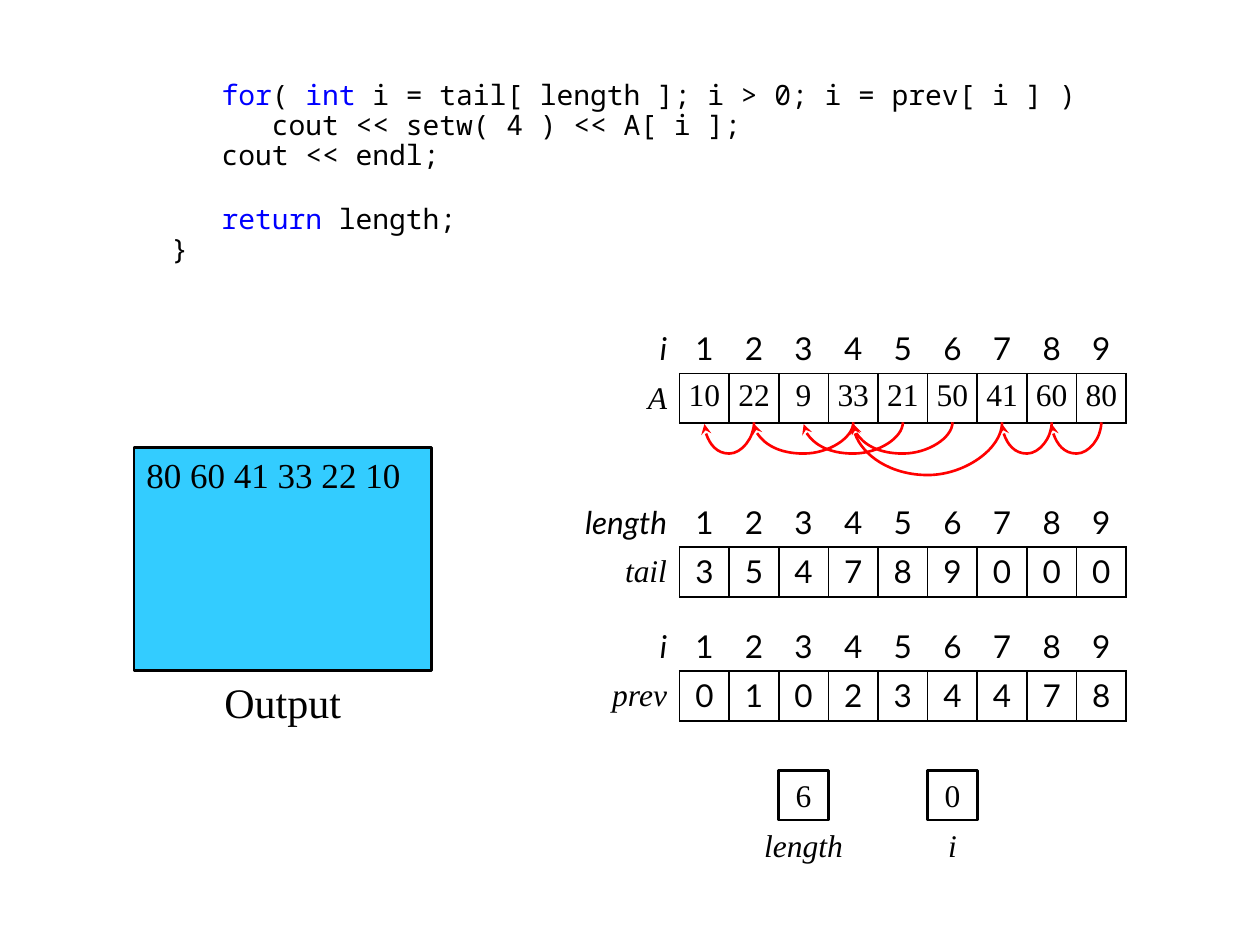
import pptx
import pptx.dml.color
import pptx.enum.shapes
import pptx.enum.text
import pptx.oxml
import pptx.oxml.ns
import pptx.util
from lxml import etree

Pt = pptx.util.Pt
RGBColor = pptx.dml.color.RGBColor
ALIGN = pptx.enum.text.PP_ALIGN
ANCHOR = pptx.enum.text.MSO_ANCHOR
qn = pptx.oxml.ns.qn

BLACK = RGBColor(0x00, 0x00, 0x00)
WHITE = RGBColor(0xFF, 0xFF, 0xFF)
KEYWORD = RGBColor(0x00, 0x00, 0xFF)
RED = RGBColor(0xFF, 0x00, 0x00)
CYAN = RGBColor(0x33, 0xCC, 0xFF)
SERIF, SANS, MONO = "Times New Roman", "Lato", "Noto Sans Mono"

# Content: code lines as (space before, spans)
CODE = [
    (0, [("   ", BLACK), ("for", KEYWORD), ("( ", BLACK), ("int", KEYWORD),
         (" i = tail[ length ]; i > 0; i = prev[ i ] )", BLACK)]),
    (0, [("      cout << setw( 4 ) << A[ i ];", BLACK)]),
    (0, [("   cout << endl;", BLACK)]),
    (19.3, [("   ", BLACK), ("return", KEYWORD), (" length;", BLACK)]),
    (0, [("}", BLACK)]),
]
# Index name, array name, values, value font, label width and top in cells
ARRAYS = [
    ("i", "A", [10, 22, 9, 33, 21, 50, 41, 60, 80], SERIF, 1, 0),
    ("length", "tail", [3, 5, 4, 7, 8, 9, 0, 0, 0], SANS, 2, 3.5),
    ("i", "prev", [0, 1, 0, 2, 3, 4, 4, 7, 8], SANS, 2, 6),
]
# From element, to element, depth in points
LINKS = [(2, 1, 18), (6, 4, 18), (7, 4, 30.39), (4, 2, 18),
         (8, 7, 18), (9, 8, 18), (5, 3, 18)]
# Name, value, column, label width in cells
VARIABLES = [("length", "6", 2, 2), ("i", "0", 5, 1)]

# Grid
CELL = 28.35
GRID_LEFT, GRID_TOP = 388.35, 185.1
VARIABLE_TOP = GRID_TOP + 9 * CELL
OUTPUT_LEFT, OUTPUT_TOP = 76.5, 255.6


def write(para, text, font=SERIF, size=18, color=BLACK, italic=False,
          align=ALIGN.CENTER):
    para.alignment = align
    span = para.add_run()
    span.text = text
    span.font.name = font
    span.font.size = Pt(size)
    span.font.color.rgb = color
    span.font.italic = italic
    span.font.bold = False


def add_box(page, left, top, width, height, text, fill=None, side=0,
            anchor=ANCHOR.MIDDLE, **format):
    place = [Pt(length) for length in (left, top, width, height)]
    if fill is None:
        box = page.shapes.add_textbox(*place)
    else:
        box = page.shapes.add_shape(
            pptx.enum.shapes.MSO_SHAPE.RECTANGLE, *place)
        box.shadow.inherit = False
        box.fill.solid()
        box.fill.fore_color.rgb = fill
        box.line.color.rgb = BLACK
        box.line.width = Pt(1.5)
    frame = box.text_frame
    frame.word_wrap = True
    frame.margin_left = frame.margin_right = Pt(side)
    frame.vertical_anchor = anchor
    write(frame.paragraphs[0], text, **format)


def set_borders(cell, edges):
    properties = cell._tc.get_or_add_tcPr()
    for edge in "LRTB":
        line = etree.SubElement(properties, qn("a:ln" + edge), w=str(Pt(1)))
        if edge in edges:
            fill = etree.SubElement(line, qn("a:solidFill"))
            etree.SubElement(fill, qn("a:srgbClr"), val=str(BLACK))
        else:
            etree.SubElement(line, qn("a:noFill"))


def fill_cell(cell, text, edges, anchor, right=0, **format):
    set_borders(cell, edges)
    cell.fill.background()
    cell.margin_left, cell.margin_right = Pt(0), Pt(right)
    cell.margin_top = cell.margin_bottom = Pt(2.9)
    cell.vertical_anchor = anchor
    write(cell.text_frame.paragraphs[0], text, **format)


def add_array(page, index, name, values, font, label_cells, row):
    label = label_cells * CELL
    table = page.shapes.add_table(
        2, len(values) + 1, Pt(GRID_LEFT - label), Pt(GRID_TOP + row * CELL),
        Pt(label + len(values) * CELL), Pt(2 * CELL)).table
    table.first_row = table.horz_banding = False
    for column in table.columns:
        column.width = Pt(CELL)
    table.columns[0].width = Pt(label)
    label_format = dict(anchor=ANCHOR.MIDDLE, right=7.2, italic=True,
                        align=ALIGN.RIGHT)
    fill_cell(table.cell(0, 0), index, "", font=SANS, **label_format)
    fill_cell(table.cell(1, 0), name, "R", font=SERIF, **label_format)
    for number, value in enumerate(values, 1):
        fill_cell(table.cell(0, number), str(number), "B", ANCHOR.MIDDLE,
                  font=SANS)
        fill_cell(table.cell(1, number), str(value), "LRTB", ANCHOR.TOP,
                  font=font)


def add_link(page, start, end, depth):
    # A one-point-wide curve, turned a quarter so that it hangs below the row
    span = (start - end) * CELL
    middle = GRID_LEFT + ((start + end) / 2 - 0.5) * CELL
    level = GRID_TOP + 2 * CELL
    link = page.shapes.add_connector(
        pptx.enum.shapes.MSO_CONNECTOR.CURVE,
        Pt(middle - 0.5), Pt(level - span / 2),
        Pt(middle + 0.5), Pt(level + span / 2))
    link.line.color.rgb = RED
    link.line.width = Pt(1.5)
    properties = link._element.spPr
    properties.find(qn("a:xfrm")).set("rot", str(90 * 60000))
    guides = properties.find(qn("a:prstGeom")).get_or_add_avLst()
    etree.SubElement(guides, qn("a:gd"), name="adj1",
                     fmla=f"val {round(depth * 100000)}")
    etree.SubElement(properties.find(qn("a:ln")), qn("a:tailEnd"),
                     type="stealth")
    etree.SubElement(properties, qn("a:effectLst"))


def add_code(page):
    body = page.placeholders[1]
    body.left, body.top = Pt(90.7), Pt(43.2)
    body.width, body.height = Pt(19 * CELL), Pt(4.5 * CELL)
    frame = body.text_frame
    frame.word_wrap = True
    frame.auto_size = pptx.enum.text.MSO_AUTO_SIZE.NONE
    frame.vertical_anchor = ANCHOR.TOP
    for number, (gap, spans) in enumerate(CODE):
        para = frame.add_paragraph() if number else frame.paragraphs[0]
        properties = para._p.get_or_add_pPr()
        properties.set("marL", "0")
        properties.set("indent", "0")
        etree.SubElement(properties, qn("a:buNone"))
        para.line_spacing = 0.89
        para.space_before = Pt(gap)
        para.space_after = Pt(0)
        for text, color in spans:
            write(para, text, font=MONO, size=16, color=color,
                  align=ALIGN.LEFT)


def main():
    deck = pptx.Presentation()
    deck.slide_width, deck.slide_height = Pt(720), Pt(540)
    page = deck.slides.add_slide(deck.slide_layouts[1])
    title = page.shapes.title._element
    title.getparent().remove(title)
    add_code(page)

    # Arrays and the links between elements
    for array in ARRAYS:
        add_array(page, *array)
    for link in LINKS:
        add_link(page, *link)

    # Variables
    for name, value, column, cells in VARIABLES:
        left = GRID_LEFT + column * CELL
        add_box(page, left, VARIABLE_TOP, CELL, CELL, value, fill=WHITE)
        add_box(page, left - (cells - 1) * CELL / 2, VARIABLE_TOP + CELL,
                cells * CELL, CELL, name, italic=True)

    # Output panel
    add_box(page, OUTPUT_LEFT, OUTPUT_TOP, 6 * CELL, 4.5 * CELL,
            "80 60 41 33 22 10", fill=CYAN, side=7.2, anchor=ANCHOR.TOP,
            size=20, align=ALIGN.LEFT)
    add_box(page, OUTPUT_LEFT + 1.5 * CELL, OUTPUT_TOP + 4.5 * CELL,
            3 * CELL, 1.5 * CELL, "Output", anchor=ANCHOR.TOP, size=24)
    deck.save("out.pptx")


if __name__ == "__main__":
    main()
